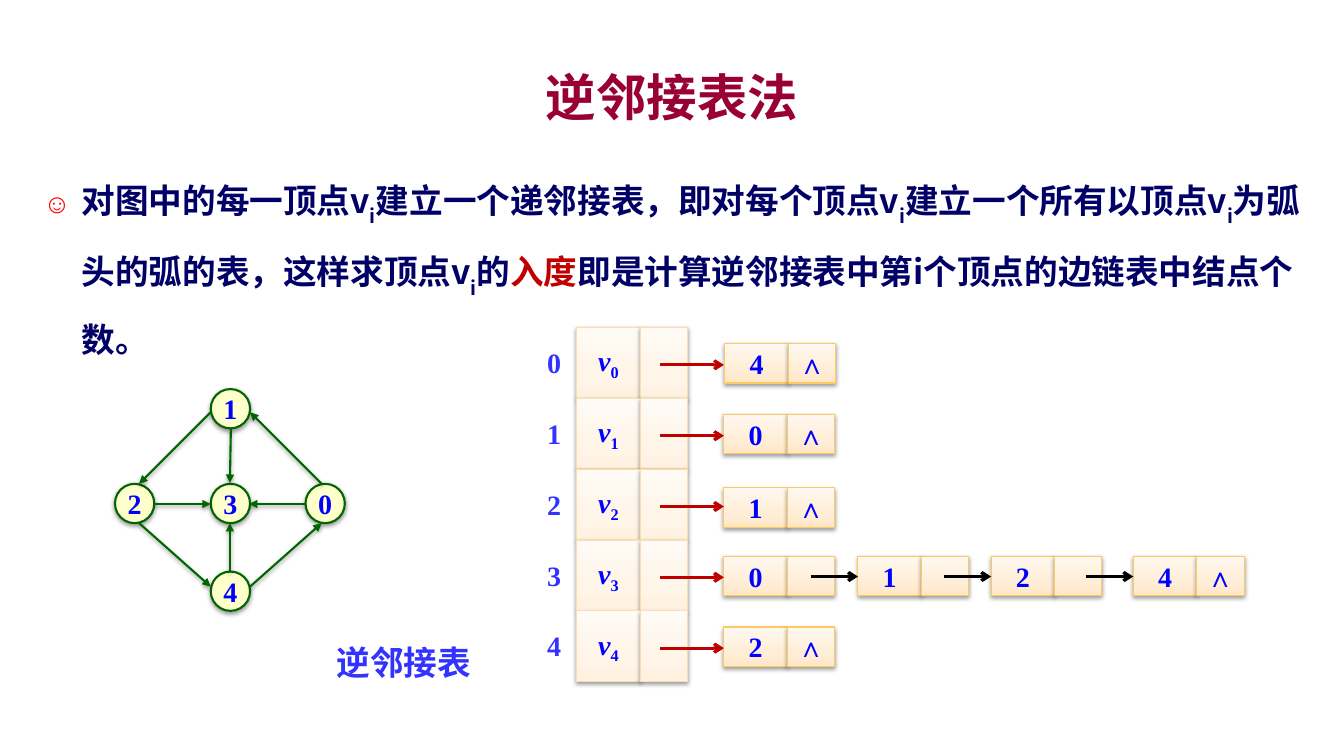
"""Build the slide on inverse adjacency lists."""
import dataclasses
import typing

import pptx
import pptx.dml.color
import pptx.enum.shapes
import pptx.enum.text
import pptx.oxml
import pptx.util

Inches = pptx.util.Inches
Pt = pptx.util.Pt
Kind = pptx.enum.shapes.MSO_SHAPE
Align = pptx.enum.text.PP_ALIGN
Fit = pptx.enum.text.MSO_AUTO_SIZE
Anchor = pptx.enum.text.MSO_ANCHOR

HUES = {
    "title": "990033", "body": "000066", "key": "C00000", "smile": "FF0000",
    "value": "0000FF", "index": "3333FF", "gold": "FDC960", "pale": "FBDDB2",
    "green": "006600", "cream": "FFFFCC", "black": "000000",
}
BLENDS = {
    "gold": {0: "FFE7C6", 35: "FFEED7", 100: "FFF8F0"},
    "pale": {0: "FFF1DF", 35: "FFF5E8", 100: "FFFBF6"},
}
HAN, ROMAN = "Noto Sans CJK SC", "Times New Roman"
SPACE = 'xmlns:a="http://schemas.openxmlformats.org/drawingml/2006/main"'
WIDE, SLIM, HIGH = 0.63, 0.47, 0.39
LEFT, TOP, TALL, PITCH = 5.72, 3.25, 0.7, 2.81 / 4


@dataclasses.dataclass
class Piece:
    text: str
    hue: str = "value"
    face: str = ROMAN
    size: int = 20
    slant: bool = False
    base: int = 0


@dataclasses.dataclass
class Box:
    left: float
    top: float
    width: float
    height: float


@dataclasses.dataclass
class Chain:
    top: float
    links: dict[float, str]


@dataclasses.dataclass
class Node:
    label: str
    left: float
    top: float


@dataclasses.dataclass
class Arrow:
    start: tuple[float, float]
    end: tuple[float, float]
    hue: str = "green"
    width: float = 1.5
    tip: str = "triangle"
    shade: bool = True


CHAINS = [
    Chain(3.41, {7.19: "4"}),
    Chain(4.11, {7.18: "0"}),
    Chain(4.84, {7.18: "1"}),
    Chain(5.52, {7.18: "0", 8.51: "1", 9.83: "2", 11.24: "4"}),
    Chain(6.22, {7.18: "2"}),
]
NODES = [Node("1", 2.09, 3.86), Node("3", 2.09, 4.8), Node("2", 1.14, 4.8),
         Node("0", 3.03, 4.8), Node("4", 2.09, 5.67)]
EDGES = [
    Arrow((2.09, 4.09), (1.38, 4.8)), Arrow((3.19, 4.8), (2.48, 4.09)),
    Arrow((1.53, 5), (2.09, 5)), Arrow((3.03, 5), (2.47, 5)),
    Arrow((2.29, 4.25), (2.28, 4.79)), Arrow((1.38, 5.19), (2.09, 5.82)),
    Arrow((2.28, 5.67), (2.28, 5.19)), Arrow((2.48, 5.82), (3.19, 5.19)),
]
BODY = ["对图中的每一顶点v", "_i", "建立一个递邻接表，即对每个顶点v", "_i",
        "建立一个所有以顶点v", "_i", "为弧头的弧的表，这样求顶点v", "_i", "的",
        "*入度", "即是计算逆邻接表中第i个顶点的边链表中结点个数。"]


def tint(name: str) -> pptx.dml.color.RGBColor:
    return pptx.dml.color.RGBColor.from_string(HUES[name])


def graft(parent: typing.Any, markup: str) -> None:
    """Append a drawing element, given without its namespace."""
    tag, rest = markup[1:].split(" ", 1)
    parent.append(pptx.oxml.parse_xml(f"<{tag} {SPACE} {rest}"))


def write(para: typing.Any, pieces: list[Piece]) -> None:
    for piece in pieces:
        run = para.add_run()
        run.text = piece.text
        run.font.size = Pt(piece.size)
        run.font.bold = True
        run.font.italic = piece.slant
        run.font.name = piece.face
        run.font.color.rgb = tint(piece.hue)
        props = run._r.get_or_add_rPr()
        graft(props, f'<a:ea typeface="{piece.face}"/>')
        if piece.base:
            props.set("baseline", str(piece.base * 1000))


def place(shape: typing.Any, box: Box) -> None:
    for name, size in dataclasses.asdict(box).items():
        setattr(shape, name, Inches(size))


def shade(shape: typing.Any) -> None:
    graft(shape._element.spPr,
          '<a:effectLst ><a:outerShdw blurRad="40000" dist="20000" dir="5400000" rotWithShape="0">'
          '<a:srgbClr val="000000"><a:alpha val="38000"/></a:srgbClr></a:outerShdw></a:effectLst>')


def draw(slide: typing.Any, kind: Kind, box: Box, hue: str, pieces: list[Piece]) -> None:
    """Draw a shaded cell or node with its label."""
    shape = slide.shapes.add_shape(kind, *map(Inches, dataclasses.astuple(box)))
    if hue in BLENDS:
        stops = "".join(f'<a:gs pos="{spot * 1000}"><a:srgbClr val="{code}"/></a:gs>'
                        for spot, code in BLENDS[hue].items())
        graft(shape._element.spPr, f'<a:gradFill rotWithShape="1"><a:gsLst>{stops}</a:gsLst>'
              '<a:lin ang="16200000" scaled="0"/></a:gradFill>')
    else:
        shape.fill.solid()
        shape.fill.fore_color.rgb = tint("cream")
    shape.line.color.rgb = tint(hue)
    shape.line.width = Pt(0.75 if hue in BLENDS else 1.5)
    shade(shape)
    frame = shape.text_frame
    frame.word_wrap = False
    frame.vertical_anchor = Anchor.MIDDLE
    frame.paragraphs[0].alignment = Align.CENTER
    write(frame.paragraphs[0], pieces)


def point(slide: typing.Any, arrow: Arrow) -> None:
    line = slide.shapes.add_connector(pptx.enum.shapes.MSO_CONNECTOR.STRAIGHT,
                                      *map(Inches, arrow.start + arrow.end))
    line.line.color.rgb = tint(arrow.hue)
    line.line.width = Pt(arrow.width)
    graft(line._element.spPr.get_or_add_ln(), f'<a:tailEnd type="{arrow.tip}"/>')
    if arrow.shade:
        shade(line)
    else:
        graft(line._element.spPr, "<a:effectLst />")


def label(slide: typing.Any, box: Box, piece: Piece, inset: bool) -> None:
    frame = slide.shapes.add_textbox(*map(Inches, dataclasses.astuple(box))).text_frame
    frame.word_wrap = True
    frame.auto_size = Fit.SHAPE_TO_FIT_TEXT
    if not inset:
        frame.margin_left = frame.margin_right = frame.margin_top = frame.margin_bottom = 0
        frame.paragraphs[0].alignment = Align.CENTER
    write(frame.paragraphs[0], [piece])


def head(slide: typing.Any) -> None:
    """Fill the title and the bulleted body."""
    title, body = slide.shapes.title, slide.placeholders[1]
    place(title, Box(1, 0.58, 11.33, 0.75))
    place(body, Box(0.33, 1.5, 12.67, 1.92))
    for shape in (title, body):
        shape.text_frame.auto_size = Fit.NONE
        shape.text_frame.word_wrap = True
    title.text_frame.vertical_anchor = Anchor.MIDDLE
    para = title.text_frame.paragraphs[0]
    para.alignment = Align.CENTER
    write(para, [Piece("逆邻接表法", "title", HAN, 36)])
    para = body.text_frame.paragraphs[0]
    para.line_spacing, para.space_before, para.space_after = 1.5, Pt(0), Pt(6)
    props = para._p.get_or_add_pPr()
    props.set("marL", str(Inches(0.38)))
    props.set("indent", str(-Inches(0.38)))
    graft(props, f'<a:buClr ><a:srgbClr val="{HUES["smile"]}"/></a:buClr>')
    graft(props, '<a:buSzPct val="80000"/>')
    graft(props, '<a:buChar char="☺"/>')
    write(para, [Piece(text.lstrip("_*"), "key" if text[0] == "*" else "body", HAN, 24,
                       base=-30 if text[0] == "_" else 0) for text in BODY])


def lists(slide: typing.Any) -> None:
    """Draw the linked cells, then the vertex table."""
    for chain in CHAINS:
        spots = list(chain.links)
        for spot, text in chain.links.items():
            last = spot == spots[-1]
            draw(slide, Kind.RECTANGLE, Box(spot, chain.top, WIDE, HIGH), "gold", [Piece(text)])
            draw(slide, Kind.RECTANGLE, Box(spot + WIDE, chain.top, SLIM, HIGH), "gold",
                 [Piece("∧")] if last else [])
        for spot in spots[1:]:
            mid = chain.top + 0.2
            point(slide, Arrow((spot - SLIM, mid), (spot, mid), "black", 2.25, "arrow", False))
    for row in range(len(CHAINS)):
        top = TOP + row * PITCH
        draw(slide, Kind.RECTANGLE, Box(LEFT, top, WIDE, TALL), "pale",
             [Piece("v", slant=True), Piece(str(row), base=-25)])
        draw(slide, Kind.RECTANGLE, Box(LEFT + WIDE, top, SLIM, TALL), "pale", [])
        label(slide, Box(5.3, top + 0.18, 0.39, 0.34), Piece(str(row), "index"), False)
        point(slide, Arrow((6.55, top + 0.37), (7.18, top + 0.37), "key", 2.25, "arrow", False))


def main() -> None:
    deck = pptx.Presentation()
    deck.slide_width, deck.slide_height = Inches(13.33), Inches(7.5)
    slide = deck.slides.add_slide(deck.slide_layouts[1])
    head(slide)
    lists(slide)
    label(slide, Box(3.24, 6.32, 1.59, 0.5), Piece("逆邻接表", "index", HAN, 24), True)
    for node in NODES:
        draw(slide, Kind.OVAL, Box(node.left, node.top, HIGH, HIGH), "green", [Piece(node.label)])
    for edge in EDGES:
        point(slide, edge)
    deck.save("out.pptx")


if __name__ == "__main__":
    main()
